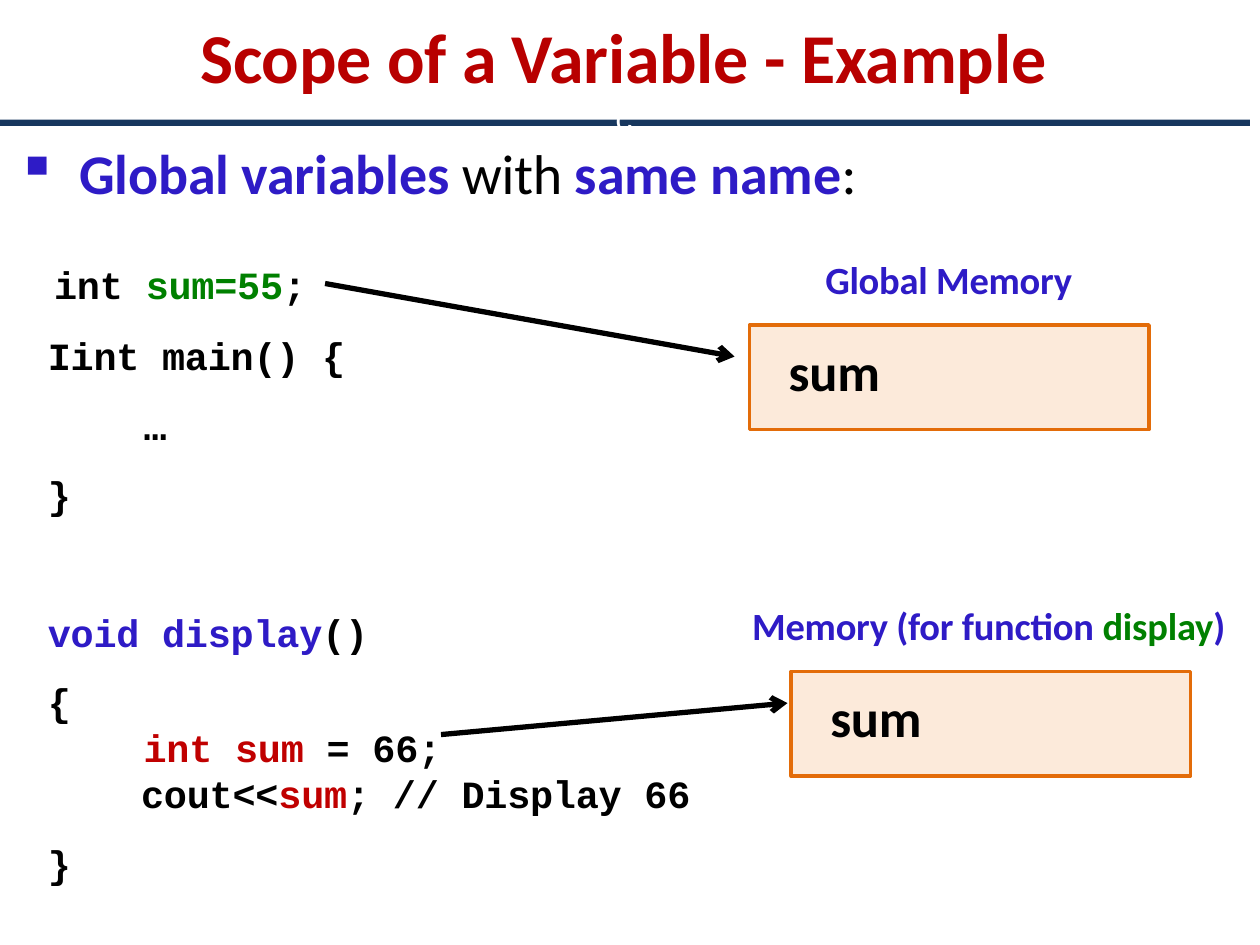
from dataclasses import dataclass

from lxml.etree import SubElement
from pptx import Presentation
from pptx.dml.color import RGBColor
from pptx.enum.shapes import MSO_CONNECTOR, MSO_SHAPE
from pptx.enum.text import MSO_ANCHOR, MSO_AUTO_SIZE, PP_ALIGN
from pptx.oxml.ns import qn
from pptx.slide import Slide
from pptx.util import Inches, Pt

BLACK = RGBColor(0x00, 0x00, 0x00)
WHITE = RGBColor(0xFF, 0xFF, 0xFF)
NAVY = RGBColor(0x17, 0x37, 0x5E)
BLUE = RGBColor(0x2E, 0x1B, 0xC6)
GREEN = RGBColor(0x00, 0x80, 0x00)
RED = RGBColor(0xC0, 0x00, 0x00)
TITLE_RED = RGBColor(0xB8, 0x00, 0x00)
PEACH = RGBColor(0xFC, 0xEA, 0xDA)
ORANGE = RGBColor(0xE3, 0x6C, 0x09)


@dataclass
class ScopeSlide:
    """Draws the elements of a variable-scope slide in one style."""

    slide: Slide
    prose: str = "Calibri"
    code: str = "Courier New"

    def frame(self, shape, inset=0.01):
        frame = shape.text_frame
        frame.word_wrap = True
        frame.auto_size = MSO_AUTO_SIZE.NONE
        frame.vertical_anchor = MSO_ANCHOR.TOP
        frame.margin_left = frame.margin_right = frame.margin_bottom = 0
        frame.margin_top = Inches(inset)
        return frame

    def typeset(self, paragraph, parts, size, font, indent=0.01, before=0):
        paragraph.alignment = PP_ALIGN.LEFT
        paragraph.space_before = Pt(before)
        properties = paragraph._p.get_or_add_pPr()
        properties.set("marL", str(Inches(indent)))
        properties.set("indent", "0")
        for words, color, *weight in parts:
            run = paragraph.add_run()
            run.text = words
            run.font.name = font
            run.font.size = Pt(size)
            run.font.bold = not weight
            run.font.color.rgb = color
            run._r.get_or_add_rPr().set("spc", "-10")

    def title(self, words):
        heading = self.slide.shapes.title
        heading.left, heading.top = Inches(1.58), Inches(0.1)
        heading.width, heading.height = Inches(6.9), Inches(0.69)
        self.typeset(self.frame(heading).paragraphs[0], [(words, TITLE_RED)], 40, self.prose)

    def box(self, left, top, width, height):
        return self.slide.shapes.add_textbox(*map(Inches, (left, top, width, height)))

    def label(self, left, top, width, parts):
        frame = self.frame(self.box(left, top, width, 0.39))
        self.typeset(frame.paragraphs[0], parts, 22, self.prose)

    def bullet(self, left, top, width, parts):
        paragraph = self.frame(self.box(left, top, width, 0.56)).paragraphs[0]
        self.typeset(paragraph, parts, 32, self.prose, indent=0.51)
        properties = paragraph._p.get_or_add_pPr()
        properties.set("indent", str(Inches(-0.5)))
        SubElement(properties, qn("a:buChar")).set("char", "▪")

    def listing(self, left, top, width, height, lines):
        frame = self.frame(self.box(left, top, width, height))
        for number, (indent, before, parts) in enumerate(lines):
            paragraph = frame.add_paragraph() if number else frame.paragraphs[0]
            self.typeset(paragraph, parts, 22, self.code, indent, before)

    def rectangle(self, left, top, width, height, fill):
        shape = self.slide.shapes.add_shape(
            MSO_SHAPE.RECTANGLE, *map(Inches, (left, top, width, height)))
        shape.shadow.inherit = False
        shape.fill.solid()
        shape.fill.fore_color.rgb = fill
        shape.line.fill.background()
        return shape

    def memory(self, left, top, variable):
        cell = self.rectangle(left, top, 3.17, 0.83, PEACH)
        cell.line.color.rgb = ORANGE
        cell.line.width = Pt(2.04)
        frame = self.frame(cell, inset=0.11)
        self.typeset(frame.paragraphs[0], [(variable, BLACK)], 30, self.prose, indent=0.31)

    def rule(self, top, mark):
        self.rectangle(0, top, 9.92, 0.05, NAVY)
        paragraph = self.frame(self.box(4.87, 0.78, 0.18, 0.33)).paragraphs[0]
        self.typeset(paragraph, [(mark, WHITE, "regular")], 18, self.code)

    def arrow(self, *ends):
        connector = self.slide.shapes.add_connector(
            MSO_CONNECTOR.STRAIGHT, *map(Inches, ends))
        connector.line.color.rgb = BLACK
        connector.line.width = Pt(3)
        properties = connector._element.spPr
        SubElement(properties.get_or_add_ln(), qn("a:tailEnd")).set("type", "arrow")
        SubElement(properties, qn("a:effectLst"))


def main():
    presentation = Presentation()
    presentation.slide_width, presentation.slide_height = Inches(10), Inches(7.5)
    scope = ScopeSlide(presentation.slides.add_slide(presentation.slide_layouts[5]))

    scope.title("Scope of a Variable - Example")
    scope.rule(0.95, "c")
    scope.bullet(0.12, 1.09, 6.9, [
        ("Global variables ", BLUE), ("with ", BLACK, "regular"),
        ("same name", BLUE), (":", BLACK, "regular")])

    scope.listing(0.37, 2.06, 2.6, 2.1, [
        (0.06, 0, [("int ", BLACK), ("sum=55", GREEN), (";", BLACK)]),
        (0.01, 14.5, [("Iint main() {", BLACK)]),
        (0.77, 13.2, [("…", BLACK)]),
        (0.01, 13.2, [("}", BLACK)])])
    scope.listing(0.37, 4.82, 5.3, 2.21, [
        (0.01, 0, [("void display", BLUE), ("()", BLACK)]),
        (0.01, 13.2, [("{", BLACK)]),
        (0.77, 0, [("int sum ", RED), ("= 66;", BLACK)]),
        (0.75, 0, [("cout<<", BLACK), ("sum", RED), ("; // Display 66", BLACK)]),
        (0.01, 13.2, [("}", BLACK)])])

    scope.label(6.54, 2.02, 2.1, [("Global Memory", BLUE)])
    scope.memory(5.95, 2.58, "sum")
    scope.arrow(2.58, 2.25, 5.83, 2.83)

    scope.label(5.96, 4.77, 3.95, [
        ("Memory (for function ", BLUE), ("display", GREEN), (")", BLUE)])
    scope.memory(6.28, 5.33, "sum")
    scope.arrow(3.5, 5.83, 6.25, 5.58)

    presentation.save("out.pptx")


if __name__ == "__main__":
    main()
